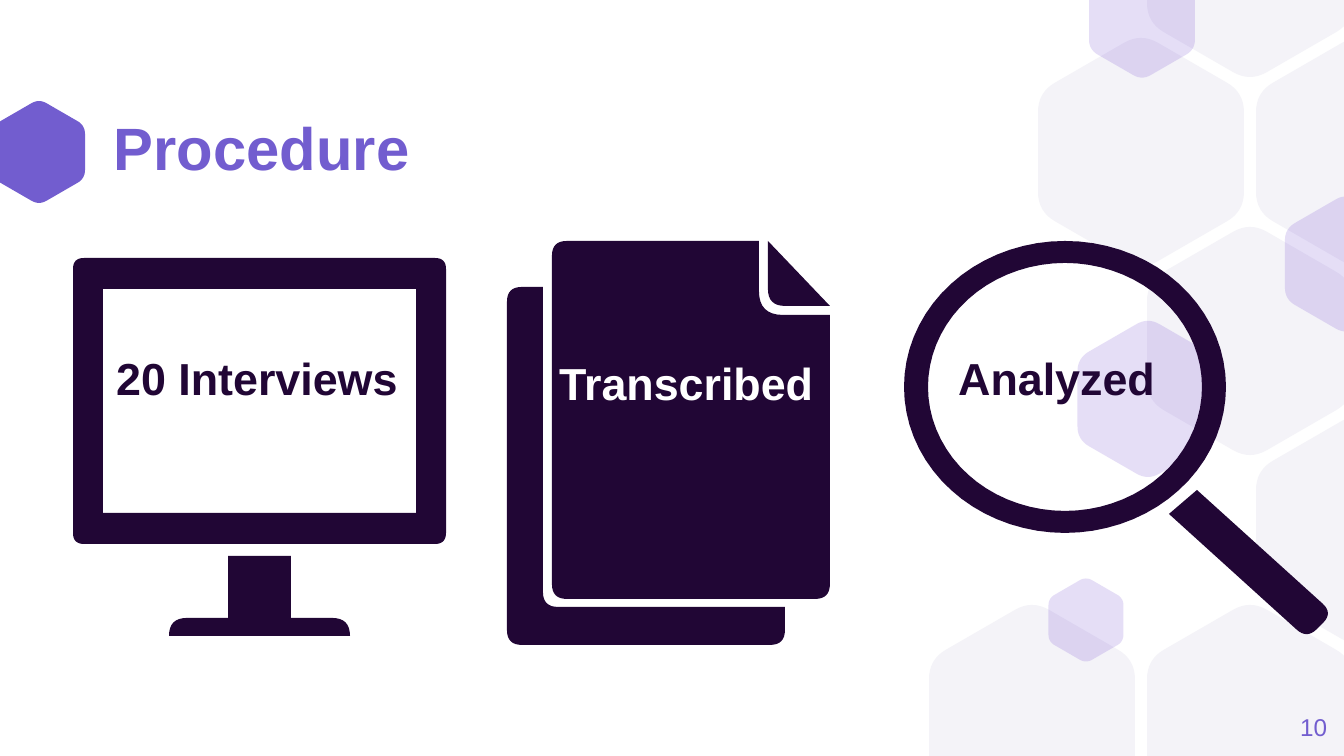
import math

import pptx
import pptx.dml.color
import pptx.enum.text
import pptx.oxml.ns
import pptx.util
from lxml import etree

WIDTH, HEIGHT = 1344, 756
EMU_PER_PX = 914400 / 134.4
CURVE_STEPS = 8
COLORS = {
    "accent": "725DCF",
    "tint": "5322C9",
    "pale": "F4F3F8",
    "ink": "210635",
    "white": "FFFFFF",
}
FONT = "Arial"


def px(length):
    return pptx.util.Emu(round(length * EMU_PER_PX))


def rgb(name):
    return pptx.dml.color.RGBColor.from_string(COLORS[name])


def rounded(corners):
    """Outline through (x, y) or (x, y, cut) corners; cut is the rounded length."""
    outline = []
    for i, (x, y, *cut) in enumerate(corners):
        if not cut:
            outline.append((x, y))
            continue
        ends = []
        for nx, ny, *_ in (corners[i - 1], corners[(i + 1) % len(corners)]):
            share = cut[0] / math.hypot(nx - x, ny - y)
            ends.append((x + (nx - x) * share, y + (ny - y) * share))
        (ax, ay), (bx, by) = ends
        for step in range(CURVE_STEPS + 1):
            t = step / CURVE_STEPS
            a, c, b = (1 - t) ** 2, 2 * t * (1 - t), t * t
            outline.append((a * ax + c * x + b * bx, a * ay + c * y + b * by))
    return outline


def rectangle(left, top, right, bottom, *cut):
    return rounded([(x, y, *cut) for x, y in
                    ((left, top), (right, top), (right, bottom), (left, bottom))])


def ellipse(cx, cy, rx, ry, points=72):
    angles = [math.tau * i / points for i in range(points)]
    return [(cx + rx * math.cos(a), cy + ry * math.sin(a)) for a in angles]


def add_outline(slide, *outlines, color="ink", alpha=None):
    """Filled freeform; outlines after the first cut holes."""
    contours = [[(px(x), px(y)) for x, y in outline] for outline in outlines]
    builder = slide.shapes.build_freeform(*contours[0][0], scale=1.0)
    builder.add_line_segments(contours[0][1:], close=True)
    for hole in contours[1:]:
        builder.move_to(*hole[0])
        builder.add_line_segments(hole[1:], close=True)
    shape = builder.convert_to_shape()
    shape.shadow.inherit = False
    shape.fill.solid()
    shape.fill.fore_color.rgb = rgb(color)
    shape.line.fill.background()
    if alpha is not None:
        fill_color = shape.fill._xPr.find(".//" + pptx.oxml.ns.qn("a:srgbClr"))
        etree.SubElement(fill_color, pptx.oxml.ns.qn("a:alpha"), val=str(alpha * 1000))


def add_hexagon(slide, cx, cy, width, **fill):
    """Pointy-top rounded hexagon, cut off at the slide's top and bottom edges."""
    radius = width / math.sqrt(3)
    corners = [(cx + radius * math.sin(i * math.pi / 3),
                cy - radius * math.cos(i * math.pi / 3), width * 0.095)
               for i in range(6)]
    add_outline(slide, [(x, min(max(y, 0), HEIGHT)) for x, y in rounded(corners)], **fill)


def add_text(slide, text, left, top, width, height, *, size=24, color="ink", bold=True,
             align="LEFT", anchor="TOP", inset=True, line_spacing=None):
    box = slide.shapes.add_textbox(px(left), px(top), px(width), px(height))
    frame = box.text_frame
    frame.word_wrap = True
    frame.vertical_anchor = pptx.enum.text.MSO_ANCHOR[anchor]
    if not inset:
        frame.margin_left = frame.margin_right = 0
        frame.margin_top = frame.margin_bottom = 0
    paragraph = frame.paragraphs[0]
    paragraph.alignment = pptx.enum.text.PP_ALIGN[align]
    if line_spacing:
        paragraph.line_spacing = line_spacing
    run = paragraph.add_run()
    run.text = text
    run.font.name = FONT
    run.font.size = pptx.util.Pt(size)
    run.font.bold = bold
    run.font.color.rgb = rgb(color)


def add_honeycomb(slide):
    for column, row in ((0, 4), (2, 4), (3, 1), (2, 0), (2, 2), (1, 1), (3, 3)):
        add_hexagon(slide, 1032 + 109 * column, -37 + 189 * row, 206, color="pale")
    for cx, cy, width in ((1346, 264, 122), (1086, 620, 75), (1142, 19, 106), (1148, 399, 141)):
        add_hexagon(slide, cx, cy, width, color="tint", alpha=15)


def add_monitor(slide):
    add_outline(slide, rounded([(228, 556), (291, 556), (291, 618), (350, 618, 18),
                                (350, 636), (169, 636), (169, 618, 18), (228, 618)]))
    add_outline(slide, rectangle(73, 258, 446, 544, 11), rectangle(103, 289, 416, 513))


def add_pages(slide):
    back = [(507, 287, 15), (543, 287), (543, 607, 15), (785, 607),
            (785, 645, 15), (507, 645, 15)]
    front = [(552, 241, 15), (759, 241), (759, 315, 24), (830, 315),
             (830, 599, 15), (552, 599, 15)]
    fold = [(768, 241), (830, 306), (768, 306, 17)]
    for page_part in (back, front, fold):
        add_outline(slide, rounded(page_part))


def add_magnifier(slide):
    add_outline(slide, ellipse(1065, 387, 161, 146), ellipse(1065, 387, 137, 124))
    add_outline(slide, rounded([(1197, 490), (1333, 613, 14), (1307, 639, 14), (1169, 514)]))


def main():
    deck = pptx.Presentation()
    deck.slide_width, deck.slide_height = px(WIDTH), px(HEIGHT)
    slide = deck.slides.add_slide(deck.slide_layouts[6])

    add_hexagon(slide, 39, 152, 92, color="accent")
    add_honeycomb(slide)
    add_text(slide, "Procedure", 114, 122, 883, 58, size=32, color="accent",
             anchor="MIDDLE", inset=False, line_spacing=0.9)
    add_text(slide, "10", 1246, 698, 81, 58, size=13, color="accent", bold=False,
             align="RIGHT", anchor="MIDDLE", inset=False)

    add_monitor(slide)
    add_pages(slide)
    add_magnifier(slide)
    add_text(slide, "20 Interviews", 103, 344, 312, 67)
    add_text(slide, "Transcribed", 546, 349, 301, 67, color="white")
    add_text(slide, "Analyzed", 945, 344, 258, 67)

    deck.save("out.pptx")


if __name__ == "__main__":
    main()
